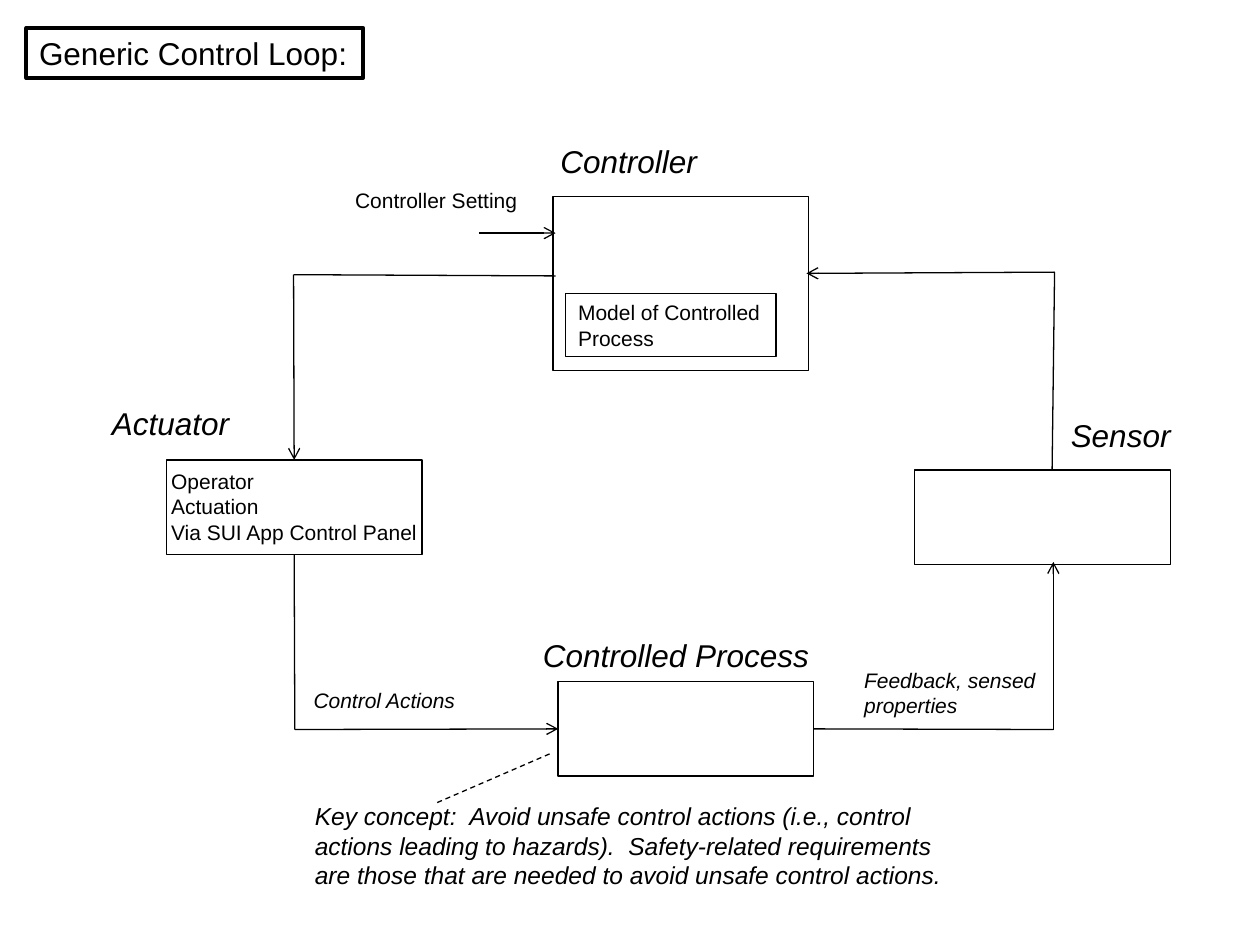
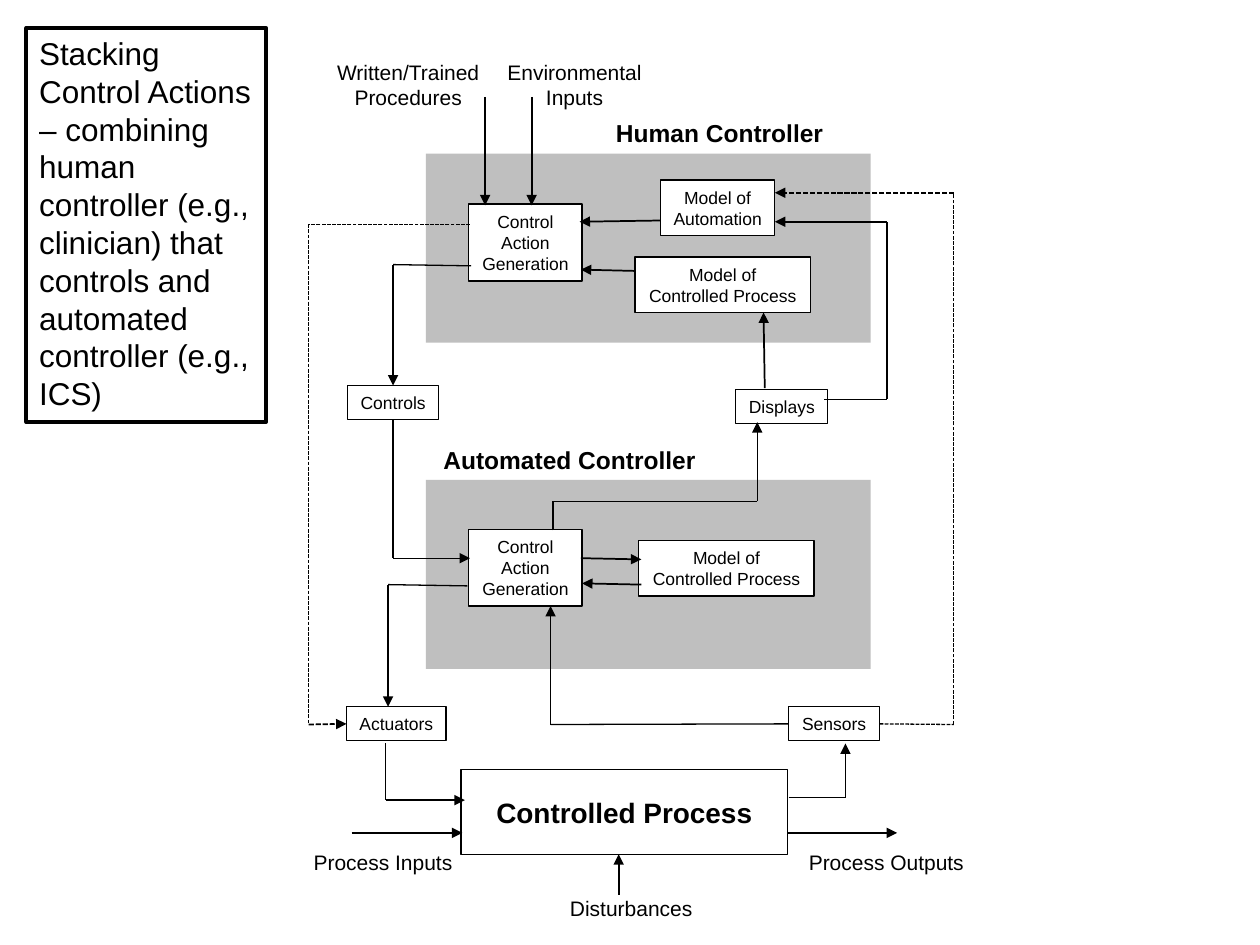
"""Build two slides on control loops: a generic loop and stacked controllers."""
from lxml import etree
from pptx import Presentation
from pptx.dml.color import RGBColor
from pptx.enum.dml import MSO_LINE
from pptx.enum.shapes import MSO_CONNECTOR, MSO_SHAPE
from pptx.enum.text import MSO_ANCHOR, MSO_AUTO_SIZE, PP_ALIGN
from pptx.oxml.ns import qn
from pptx.util import Inches, Pt

BLACK = RGBColor(0x00, 0x00, 0x00)
WHITE = RGBColor(0xFF, 0xFF, 0xFF)
GRAY = RGBColor(0xBF, 0xBF, 0xBF)
RECT = MSO_SHAPE.RECTANGLE
STRAIGHT = MSO_CONNECTOR.STRAIGHT
LEFT, CENTER = PP_ALIGN.LEFT, PP_ALIGN.CENTER
TOP, MIDDLE = MSO_ANCHOR.TOP, MSO_ANCHOR.MIDDLE
NO_FIT = MSO_AUTO_SIZE.NONE
DASH, DOTS = MSO_LINE.DASH, MSO_LINE.SQUARE_DOT
NORTH, WEST, SOUTH, EAST = range(4)
FONT = "Arial"
THIN, BOLD = 0.75, 1
TITLE_SIZE, HEAD_SIZE, NOTE_SIZE, TEXT_SIZE, BOX_SIZE = 18, 14, 14, 12, 10
GEN_TEXT = "Control\nAction\nGeneration"
MODEL_TEXT = "Model of\nControlled Process"


def style(item, **values):
    """Set each given attribute on an item."""
    for name, value in values.items():
        setattr(item, name, value)


def place(item, box):
    """Move and size a shape to a box in inches."""
    names = ("left", "top", "width", "height")
    style(item, **dict(zip(names, map(Inches, box))))


def write(shape, text, size, align=LEFT, anchor=TOP, wrap=False, **look):
    """Fill a shape with plain text."""
    frame = shape.text_frame
    frame.text = text
    style(frame, word_wrap=wrap, auto_size=NO_FIT, vertical_anchor=anchor)
    for para in frame.paragraphs:
        para.alignment = align
        for run in para.runs:
            style(run.font, name=FONT, size=Pt(size), **look)
            run.font.color.rgb = BLACK


def edge(line, width):
    """Give a line its black colour and its width."""
    line.color.rgb = BLACK
    line.width = Pt(width)


def label(slide, box, text, size=TEXT_SIZE, **look):
    """Add a text box."""
    write(slide.shapes.add_textbox(*map(Inches, box)), text, size, **look)


def block(slide, box, text="", size=BOX_SIZE, fill=WHITE, border=True, **look):
    """Add a rectangle, with text if there is any."""
    shape = slide.shapes.add_shape(RECT, *map(Inches, box))
    shape.shadow.inherit = False
    if fill is None:
        shape.fill.background()
    else:
        shape.fill.solid()
        shape.fill.fore_color.rgb = fill
    if border:
        edge(shape.line, THIN)
    else:
        shape.line.fill.background()
    if text:
        write(shape, text, size, **{"align": CENTER, "anchor": MIDDLE, **look})
    return shape


def route(slide, points, start=None, end=None, tip="triangle", width=THIN,
          last=None, dash=None):
    """Draw straight lines through points, with a head on the last one."""
    final = len(points) - 2
    for i, pair in enumerate(zip(points, points[1:])):
        ends = [Inches(n) for point in pair for n in point]
        link = slide.shapes.add_connector(STRAIGHT, *ends)
        edge(link.line, last if last and i == final else width)
        if dash:
            link.line.dash_style = dash
        if start and i == 0:
            link.begin_connect(*start)
        if end and i == final:
            link.end_connect(*end)
        props = link.element.spPr
        if tip and i == final:
            etree.SubElement(props.find(qn("a:ln")), qn("a:tailEnd"), type=tip)
        etree.SubElement(props, qn("a:effectLst"))


def page(deck, text, width, height, wrap):
    """Add a slide with its framed title."""
    slide = deck.slides.add_slide(deck.slide_layouts[5])
    title = slide.shapes.title
    place(title, (0.21, 0.22, width, height))
    write(title, text, TITLE_SIZE, wrap=wrap)
    edge(title.line, 2.25)
    return slide


def stage(slide, box, name, dx, dy, width):
    """Add one empty box of the loop and its slanted name."""
    x, y = box[:2]
    shape = block(slide, box, fill=None)
    label(slide, (x + dx, y + dy, width, 0.4), name, TITLE_SIZE, italic=True)
    return shape


def panel(slide, box, name, shift, width, drop, models):
    """Add a gray controller with its generator and its models."""
    x, y = box[:2]
    block(slide, box, fill=GRAY, border=False)
    block(slide, (x + 0.34, y + drop, 0.9, 0.61), GEN_TEXT)
    for text, dx, dy, wide in models:
        block(slide, (x + dx, y + dy, wide, 0.44), text)
    label(slide, (x + shift, y - 0.33, width, 0.34), name, HEAD_SIZE, bold=True)


def plant(slide, box):
    """Add the controlled process with its inputs, outputs and disturbances."""
    x, y, w, h = box
    block(slide, box, "Controlled Process", 16, bold=True, wrap=True)
    for text, dx, dy, wide in (
        ("Process Inputs", -1.28, 0.58, 1.32),
        ("Process Outputs", w, 0.58, 1.57),
        ("Disturbances", 0.76, 0.95, 1.18),
    ):
        label(slide, (x + dx, y + dy, wide, 0.3), text, align=CENTER)
    flow = y + 0.5
    for points in (
        [(x - 0.87, flow), (x + 0.01, flow)],
        [(x + w, flow), (x + w + 0.87, flow)],
        [(x + 1.25, y + h + 0.32), (x + 1.25, y + h)],
    ):
        route(slide, points, width=BOLD)


def generic(deck):
    """Build the generic control loop slide."""
    slide = page(deck, "Generic Control Loop:", 2.67, 0.4, False)
    stage(slide, (4.39, 1.56, 2.03, 1.38), "Controller", -0.04, -0.48, 1.36)
    stage(slide, (7.26, 3.73, 2.03, 0.75), "Sensor", 1.14, -0.48, 1.06)
    actor = stage(slide, (1.32, 3.65, 2.03, 0.75), "Actuator", -0.53, -0.49, 1.2)
    process = stage(slide, (4.43, 5.41, 2.03, 0.75), "Controlled Process",
                    -0.22, -0.41, 2.39)
    block(slide, (4.49, 2.33, 1.67, 0.5), "Model of Controlled Process",
          TEXT_SIZE, fill=None, align=LEFT, wrap=True)
    label(slide, (2.72, 1.44, 1.5, 0.3), "Controller Setting")
    label(slide, (1.26, 3.67, 2.19, 0.71),
          "Operator\nActuation\nVia SUI App Control Panel")
    for box, text, size in (
        ((2.39, 5.41, 1.51, 0.3), "Control Actions", TEXT_SIZE),
        ((6.76, 5.25, 1.89, 0.5), "Feedback, sensed properties", TEXT_SIZE),
        ((2.4, 6.31, 5.19, 0.81),
         "Key concept:  Avoid unsafe control actions (i.e., control actions "
         "leading to hazards).  Safety-related requirements are those that "
         "are needed to avoid unsafe control actions.", NOTE_SIZE),
    ):
        label(slide, box, text, size, wrap=True, italic=True)
    for points, start, end in (
        ([(3.8, 1.85), (4.41, 1.85)], None, None),
        ([(4.41, 2.19), (2.33, 2.18), (2.33, 3.65)], None, (actor, NORTH)),
        ([(2.34, 4.4), (2.34, 5.79), (4.43, 5.79)], (actor, SOUTH), (process, WEST)),
        ([(6.46, 5.79), (8.36, 5.79), (8.36, 4.46)], (process, EAST), None),
        ([(8.35, 3.73), (8.37, 2.16), (6.4, 2.17)], None, None),
    ):
        route(slide, points, start, end, tip="arrow")
    route(slide, [(3.47, 6.37), (4.37, 5.98)], tip=None, dash=DASH)


def stacked(deck):
    """Build the slide of a human controller above an automated one."""
    slide = page(deck, "Stacking Control Actions – combining human controller "
                 "(e.g., clinician) that controls and automated controller "
                 "(e.g., ICS)", 1.9, 3.13, True)
    panel(slide, (3.38, 1.22, 3.53, 1.5), "Human Controller", 1.41, 1.87, 0.4,
          [("Model of\nAutomation", 1.86, 0.21, 0.91),
           (MODEL_TEXT, 1.66, 0.82, 1.39)])
    panel(slide, (3.38, 3.81, 3.53, 1.5), "Automated Controller", 0.04, 2.22,
          0.39, [(MODEL_TEXT, 1.69, 0.48, 1.39)])
    plant(slide, (3.66, 6.11, 2.59, 0.67))
    for x, width, text in (
        (2.57, 1.34, "Written/Trained\nProcedures"),
        (3.92, 1.28, "Environmental\nInputs"),
    ):
        label(slide, (x, 0.42, width, 0.5), text, align=CENTER)
    actor, sensor, knobs, _ = [
        block(slide, (x, y, width, 0.27), text)
        for x, y, width, text in (
            (2.75, 5.61, 0.79, "Actuators"),
            (6.26, 5.61, 0.72, "Sensors"),
            (2.76, 3.06, 0.72, "Controls"),
            (5.84, 3.09, 0.73, "Displays"),
        )
    ]
    for points in (
        [(3.85, 0.77), (3.85, 1.63)],
        [(4.22, 0.77), (4.22, 1.63)],
        [(5.24, 1.75), (4.6, 1.76)],
        [(5.03, 2.15), (4.61, 2.14)],
        [(6.07, 3.08), (6.06, 2.48)],
        [(5.09, 4.64), (4.62, 4.63)],
        [(4.61, 4.43), (5.09, 4.44)],
    ):
        route(slide, points, width=BOLD)
    for points, start, end in (
        ([(3.74, 2.11), (3.12, 2.1), (3.12, 3.06)], None, (knobs, NORTH)),
        ([(3.12, 3.33), (3.12, 4.43), (3.73, 4.43)], (knobs, SOUTH), None),
        ([(3.71, 4.65), (3.08, 4.64), (3.08, 5.61)], None, None),
        ([(4.39, 4.21), (4.39, 3.98), (6.01, 3.98), (6.01, 3.35)], None, None),
        ([(3.06, 5.9), (3.06, 6.35), (3.69, 6.35)], None, None),
        ([(6.26, 5.75), (4.37, 5.75), (4.37, 4.81)], (sensor, WEST), None),
        ([(6.26, 6.33), (6.71, 6.33), (6.71, 5.9)], None, None),
    ):
        route(slide, points, start, end)
    route(slide, [(6.54, 3.17), (7.04, 3.17), (7.04, 1.76), (6.15, 1.76)], last=BOLD)
    route(slide, [(6.98, 5.75), (7.57, 5.75), (7.57, 1.53), (6.15, 1.53)],
          start=(sensor, EAST), last=BOLD, dash=DOTS)
    route(slide, [(3.73, 1.78), (2.45, 1.78), (2.45, 5.75), (2.75, 5.75)],
          end=(actor, WEST), last=BOLD, dash=DOTS)


def main():
    """Build and save the deck."""
    deck = Presentation()
    style(deck, slide_width=Inches(10), slide_height=Inches(7.5))
    generic(deck)
    stacked(deck)
    deck.save("out.pptx")


if __name__ == "__main__":
    main()
